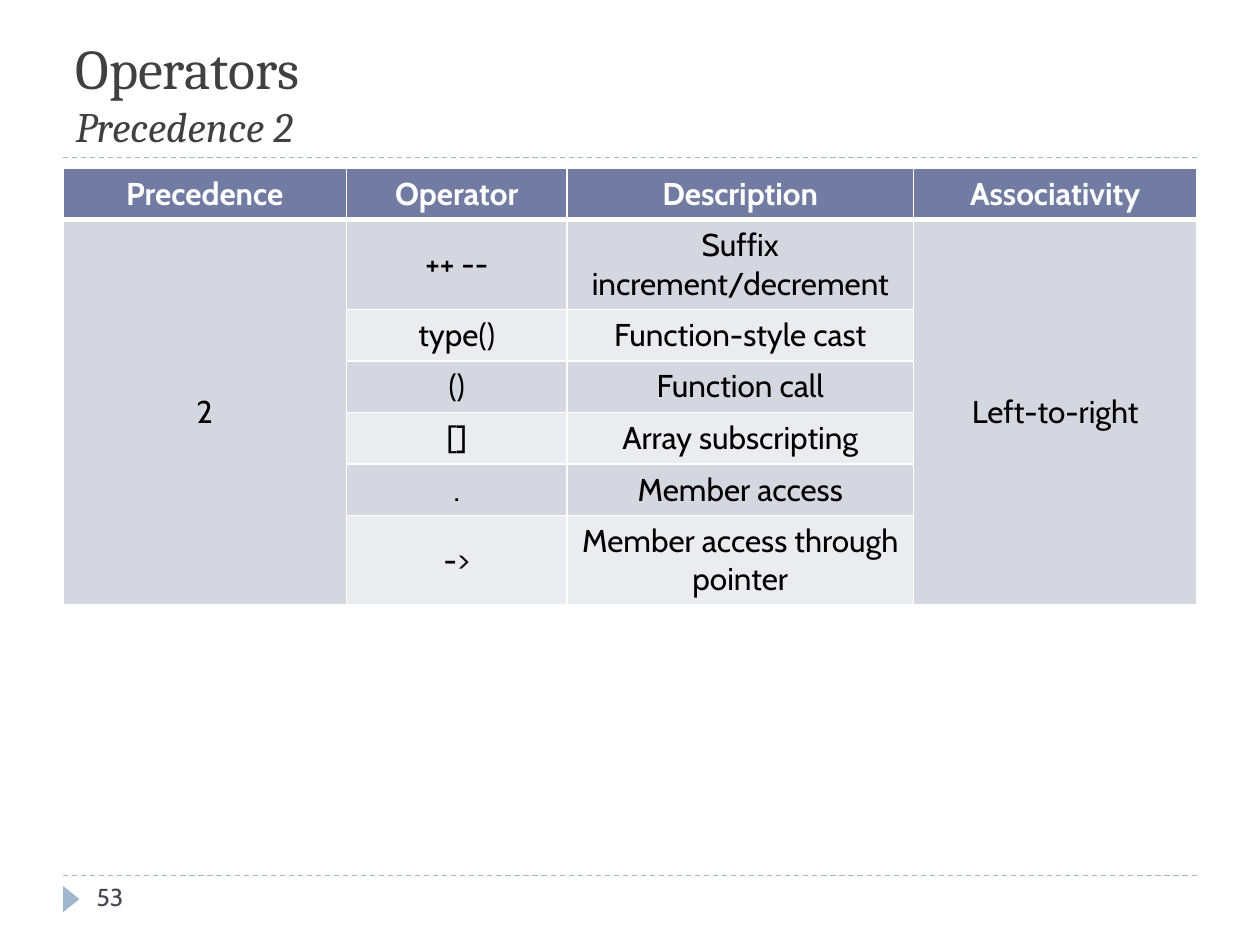
import lxml.etree
import pptx
import pptx.dml.color
import pptx.enum.dml
import pptx.enum.shapes
import pptx.enum.text
import pptx.oxml.ns
import pptx.util
from pptx.util import Cm, Pt

COLORS = {
    "title": "404040",
    "accent": "9FB8CD",
    "header": "727CA3",
    "odd_row": "D5D7E0",
    "even_row": "EBECF0",
    "white": "FFFFFF",
    "black": "000000",
    "number": "464653",
}
HEADINGS = ("Precedence", "Operator", "Description", "Associativity")
OPERATORS = (
    ("++ --", "Suffix increment/decrement"),
    ("type()", "Function-style cast"),
    ("()", "Function call"),
    ("[]", "Array subscripting"),
    (".", "Member access"),
    ("->", "Member access through pointer"),
)
COLUMN_SHARES = (9, 7, 11, 9)


def color(name):
    return pptx.dml.color.RGBColor.from_string(COLORS[name])


def format_span(span, font, size, color_name, bold=False, italic=False):
    span.font.name = font
    span.font.size = Pt(size)
    span.font.color.rgb = color(color_name)
    span.font.bold = bold
    span.font.italic = italic


def add_dashed_rule(page, left, top, width):
    rule = page.shapes.add_connector(
        pptx.enum.shapes.MSO_CONNECTOR.STRAIGHT, left, top, left + width, top)
    rule.line.color.rgb = color("accent")
    rule.line.width = Pt(0.75)
    rule.line.dash_style = pptx.enum.dml.MSO_LINE.DASH
    properties = rule._element.spPr
    lxml.etree.SubElement(properties, pptx.oxml.ns.qn("a:effectLst"))


def add_title(page, left, top, width, height):
    title = page.shapes.title
    title.left, title.top, title.width, title.height = left, top, width, height
    frame = title.text_frame
    frame.text = "Operators\vPrecedence 2"
    frame.auto_size = pptx.enum.text.MSO_AUTO_SIZE.NONE
    frame.vertical_anchor = pptx.enum.text.MSO_ANCHOR.BOTTOM
    para = frame.paragraphs[0]
    para.alignment = pptx.enum.text.PP_ALIGN.LEFT
    heading, subheading = para.runs
    format_span(heading, "Cambria", 32, "title")
    format_span(subheading, "Cambria", 24, "title", italic=True)
    add_dashed_rule(page, left, top + height, width)


def set_borders(cell, bottom_width):
    """Draw white borders of 1 pt, with the bottom one as wide as given."""
    properties = cell._tc.get_or_add_tcPr()
    for side, width in (("L", 1), ("R", 1), ("T", 1), ("B", bottom_width)):
        border = lxml.etree.SubElement(
            properties, pptx.oxml.ns.qn(f"a:ln{side}"), w=str(Pt(width)))
        fill = lxml.etree.SubElement(border, pptx.oxml.ns.qn("a:solidFill"))
        lxml.etree.SubElement(
            fill, pptx.oxml.ns.qn("a:srgbClr"), val=COLORS["white"])


def format_cell(cell, row_index):
    is_header = row_index == 0
    set_borders(cell, 3 if is_header else 1)
    band = "odd_row" if row_index % 2 else "even_row"
    cell.fill.solid()
    cell.fill.fore_color.rgb = color("header" if is_header else band)
    cell.vertical_anchor = pptx.enum.text.MSO_ANCHOR.MIDDLE
    para = cell.text_frame.paragraphs[0]
    para.alignment = pptx.enum.text.PP_ALIGN.CENTER
    for span in para.runs:
        format_span(span, "Cabin", 18, "white" if is_header else "black",
                    bold=is_header)


def add_operator_table(page, left, top, width, height):
    rows = [HEADINGS]
    for index, (operator, description) in enumerate(OPERATORS):
        outer = ("2", "Left-to-right") if index == 0 else ("", "")
        rows.append((outer[0], operator, description, outer[1]))
    table = page.shapes.add_table(
        len(rows), len(HEADINGS), left, top, width, height).table
    for column, share in zip(table.columns, COLUMN_SHARES):
        column.width = int(width * share / sum(COLUMN_SHARES))
    for row_index, texts in enumerate(rows):
        for column_index, text in enumerate(texts):
            cell = table.cell(row_index, column_index)
            cell.text = text
            format_cell(cell, row_index)
    for column_index in (0, len(HEADINGS) - 1):
        table.cell(1, column_index).merge(
            table.cell(len(OPERATORS), column_index))


def add_footer(page, left, top, width):
    add_dashed_rule(page, left, top, width)
    marker = page.shapes.add_shape(
        pptx.enum.shapes.MSO_SHAPE.ISOSCELES_TRIANGLE,
        left - Cm(0.1), top + Cm(0.31), Cm(0.53), Cm(0.33))
    marker.rotation = 90
    marker.shadow.inherit = False
    marker.fill.solid()
    marker.fill.fore_color.rgb = color("accent")
    marker.line.fill.background()
    box = page.shapes.add_textbox(left + Cm(0.43), top, Cm(5.51), Cm(1.02))
    box.text_frame.word_wrap = True
    box.text_frame.text = "53"
    format_span(box.text_frame.paragraphs[0].runs[0], "Cabin", 14, "number")


def main():
    deck = pptx.Presentation()
    deck.slide_width, deck.slide_height = Cm(25.4), Cm(19.05)
    page = deck.slides.add_slide(deck.slide_layouts.get_by_name("Title Only"))
    left, width = Cm(1.27), Cm(22.86)
    add_title(page, left, Cm(0.43), width, Cm(2.74))
    add_operator_table(page, left, Cm(3.39), width, Cm(7.28))
    add_footer(page, left, Cm(17.65), width)
    deck.save("out.pptx")


if __name__ == "__main__":
    main()
